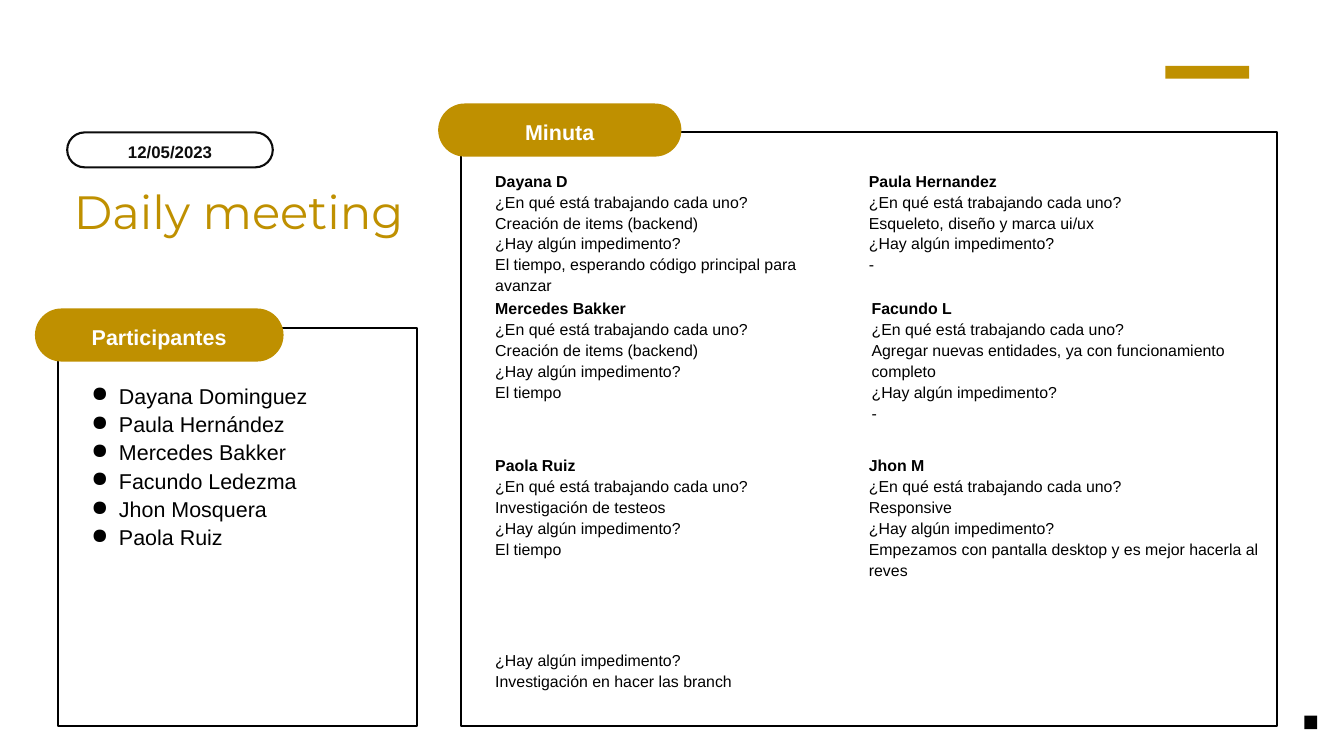
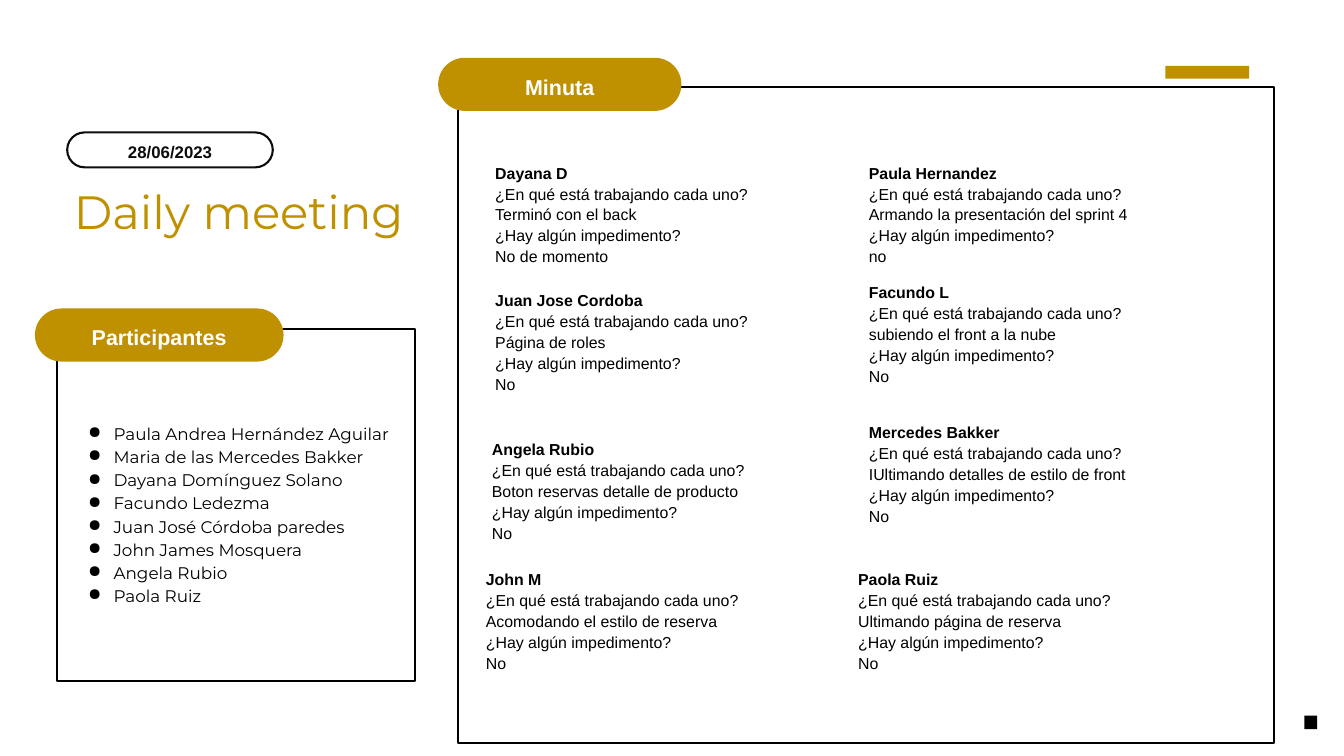
from lxml.etree import SubElement
from pptx import Presentation
from pptx.dml.color import RGBColor
from pptx.enum.shapes import MSO_SHAPE as Preset
from pptx.enum.text import MSO_ANCHOR as Anchor, MSO_AUTO_SIZE as AutoSize, PP_ALIGN as Align
from pptx.oxml.ns import qn
from pptx.util import Inches, Pt

COLORS = {"gold": "BF9000", "black": "000000", "ink": "0C0C0C", "white": "FFFFFF"}

TITLE = {"name": "Montserrat", "size": Pt(50)}
HEADING = {"name": "Arial", "size": Pt(23), "bold": True}
DATE = {"name": "Arial", "size": Pt(18), "bold": True}
NOTE = {"name": "Arial", "size": Pt(17)}
NOTE_NAME = {**NOTE, "bold": True}

PILL_HEIGHT = 0.79
LABEL_WIDTH, LABEL_HEIGHT = 2.6, 0.39
WORKING = "¿En qué está trabajando cada uno?"
BLOCKED = "¿Hay algún impedimento?"

MEETINGS = [
    {
        "date": "12/05/2023",
        "people_frame": (0.87, 4.88, 5.33, 5.93),
        "people_at": (1.27, 5.66, 4.65, 2.52),
        "people_font": {"name": "Arial", "size": Pt(23)},
        "people_spacing": 1.1,
        "people_hang": 0.41,
        "people": ["Dayana Dominguez", "Paula Hernández", "Mercedes Bakker",
                   "Facundo Ledezma", "Jhon Mosquera", "Paola Ruiz"],
        "minutes_frame": (6.86, 1.97, 12.14, 8.83),
        "minutes_pill_top": 1.54,
        "notes": [
            ((7.37, 4.42, 5.26, 1.55), "Mercedes Bakker",
             "Creación de items (backend)", "El tiempo"),
            ((12.93, 2.52, 6.03, 1.55), "Paula Hernandez",
             "Esqueleto, diseño y marca ui/ux", "-"),
            ((7.37, 2.52, 5.37, 1.55), "Dayana D", "Creación de items (backend)",
             "El tiempo, esperando código principal para avanzar"),
            ((12.97, 4.42, 5.94, 1.86), "Facundo L",
             "Agregar nuevas entidades, ya con funcionamiento completo", "-"),
            ((12.93, 6.75, 5.94, 1.86), "Jhon M", "Responsive",
             "Empezamos con pantalla desktop y es mejor hacerla al reves"),
            ((7.37, 6.75, 5.94, 1.55), "Paola Ruiz",
             "Investigación de testeos", "El tiempo"),
        ],
        "extra_note": ((7.37, 9.65, 5.94, 0.61), "Investigación en hacer las branch"),
    },
    {
        "date": "28/06/2023",
        "people_frame": (0.85, 4.89, 5.33, 5.24),
        "people_at": (1.19, 6.26, 4.65, 3.07),
        "people_font": {"name": "Montserrat", "size": Pt(18)},
        "people_spacing": 1.15,
        "people_hang": 0.38,
        "people": ["Paula Andrea Hernández Aguilar", "Maria de las Mercedes Bakker",
                   "Dayana Domínguez Solano", "Facundo Ledezma",
                   "Juan José Córdoba paredes", "John James Mosquera",
                   "Angela Rubio", "Paola Ruiz"],
        "minutes_frame": (6.82, 1.3, 12.14, 9.75),
        "minutes_pill_top": 0.86,
        "notes": [
            ((12.93, 6.26, 5.26, 1.55), "Mercedes Bakker",
             "IUltimando detalles de estilo de front", "No"),
            ((12.93, 2.4, 6.03, 1.55), "Paula Hernandez",
             "Armando la presentación del sprint 4", "no"),
            ((7.37, 2.4, 5.14, 1.55), "Dayana D", "Terminó con el back", "No de momento"),
            ((12.93, 4.18, 5.94, 1.55), "Facundo L", "subiendo el front a la nube", "No"),
            ((7.37, 4.3, 4.94, 1.55), "Juan Jose Cordoba", "Página de roles", "No"),
            ((7.32, 6.51, 5.26, 1.55), "Angela Rubio",
             "Boton reservas detalle de producto", "No"),
            ((7.23, 8.45, 5.55, 1.55), "John M", "Acomodando el estilo de reserva", "No"),
            ((12.77, 8.45, 5.26, 1.55), "Paola Ruiz", "Ultimando página de reserva", "No"),
        ],
    },
]


def rgb(color):
    return RGBColor.from_string(COLORS[color])


def add_block(slide, preset, at, fill=None, line=None, rounding=()):
    block = slide.shapes.add_shape(preset, *map(Inches, at))
    block.shadow.inherit = False
    for index, amount in enumerate(rounding):
        block.adjustments[index] = amount
    if fill:
        block.fill.solid()
        block.fill.fore_color.rgb = rgb(fill)
    else:
        block.fill.background()
    if line:
        block.line.color.rgb = rgb(line)
        block.line.width = Pt(2.25)
    else:
        block.line.fill.background()


def add_frame(slide, at):
    add_block(slide, Preset.ROUND_2_SAME_RECTANGLE, at, line="black", rounding=(0, 0))


def add_pill(slide, at, **colors):
    add_block(slide, Preset.ROUNDED_RECTANGLE, at, rounding=(0.5,), **colors)


def add_bullet(paragraph, hang):
    properties = paragraph._p.get_or_add_pPr()
    properties.set("marL", str(Inches(0.5)))
    properties.set("indent", str(-Inches(hang)))
    bullet_color = SubElement(properties, qn("a:buClr"))
    SubElement(bullet_color, qn("a:srgbClr"), val=COLORS["black"])
    SubElement(properties, qn("a:buChar"), char="●")


def add_text(slide, at, lines, color="black", align=None, spacing=1.1, inset=0,
             anchor=Anchor.TOP, resize=AutoSize.SHAPE_TO_FIT_TEXT, hang=None):
    """Write (text, font format) lines; a hang in inches makes them bullets."""
    frame = slide.shapes.add_textbox(*map(Inches, at)).text_frame
    settings = {"word_wrap": True, "auto_size": resize, "vertical_anchor": anchor}
    for side in ("left", "top", "right", "bottom"):
        settings[f"margin_{side}"] = Inches(inset)
    for setting, value in settings.items():
        setattr(frame, setting, value)
    for index, (text, font_format) in enumerate(lines):
        paragraph = frame.add_paragraph() if index else frame.paragraphs[0]
        if hang:
            add_bullet(paragraph, hang)
        paragraph.alignment = align
        paragraph.line_spacing = spacing
        run = paragraph.add_run()
        run.text = text
        for attribute, value in font_format.items():
            setattr(run.font, attribute, value)
        run.font.color.rgb = rgb(color)


def add_heading(slide, text, left, top, width):
    """Gold pill with its label centred on it."""
    add_pill(slide, (left, top, width, PILL_HEIGHT), fill="gold")
    label_at = (left + (width - LABEL_WIDTH) / 2, top + (PILL_HEIGHT - LABEL_HEIGHT) / 2,
                LABEL_WIDTH, LABEL_HEIGHT)
    add_text(slide, label_at, [(text, HEADING)], color="white", align=Align.CENTER)


def add_title_area(slide, date):
    """Everything that stays in place from meeting to meeting."""
    add_block(slide, Preset.RECTANGLE, (19.41, 10.65, 0.19, 0.2), fill="black")
    add_text(slide, (1, 2.72, 5.33, 0.84), [("Daily meeting", TITLE)], color="gold",
             spacing=1, inset=0.1, anchor=Anchor.MIDDLE, resize=AutoSize.NONE)
    add_pill(slide, (1, 1.97, 3.06, 0.52), fill="white", line="ink")
    add_text(slide, (1.17, 1.98, 2.72, 0.5), [(date, DATE)], color="ink",
             align=Align.CENTER, inset=0.1)
    add_block(slide, Preset.RECTANGLE, (17.34, 0.98, 1.25, 0.19), fill="gold")


def add_participants(slide, meeting):
    add_frame(slide, meeting["people_frame"])
    add_heading(slide, "Participantes", 0.52, 4.59, 3.7)
    people = [(person, meeting["people_font"]) for person in meeting["people"]]
    add_text(slide, meeting["people_at"], people,
             spacing=meeting["people_spacing"], hang=meeting["people_hang"])


def add_minutes(slide, meeting):
    add_frame(slide, meeting["minutes_frame"])
    add_heading(slide, "Minuta", 6.52, meeting["minutes_pill_top"], 3.62)
    for at, person, task, obstacle in meeting["notes"]:
        answers = [(line, NOTE) for line in (WORKING, task, BLOCKED, obstacle)]
        add_text(slide, at, [(person, NOTE_NAME), *answers])
    if "extra_note" in meeting:
        at, obstacle = meeting["extra_note"]
        add_text(slide, at, [(BLOCKED, NOTE), (obstacle, NOTE)])


def main():
    deck = Presentation()
    deck.slide_width, deck.slide_height = Inches(20), Inches(11.25)
    blank = deck.slide_layouts[6]
    for meeting in MEETINGS:
        slide = deck.slides.add_slide(blank)
        add_title_area(slide, meeting["date"])
        add_participants(slide, meeting)
        add_minutes(slide, meeting)
    deck.save("out.pptx")


if __name__ == "__main__":
    main()
